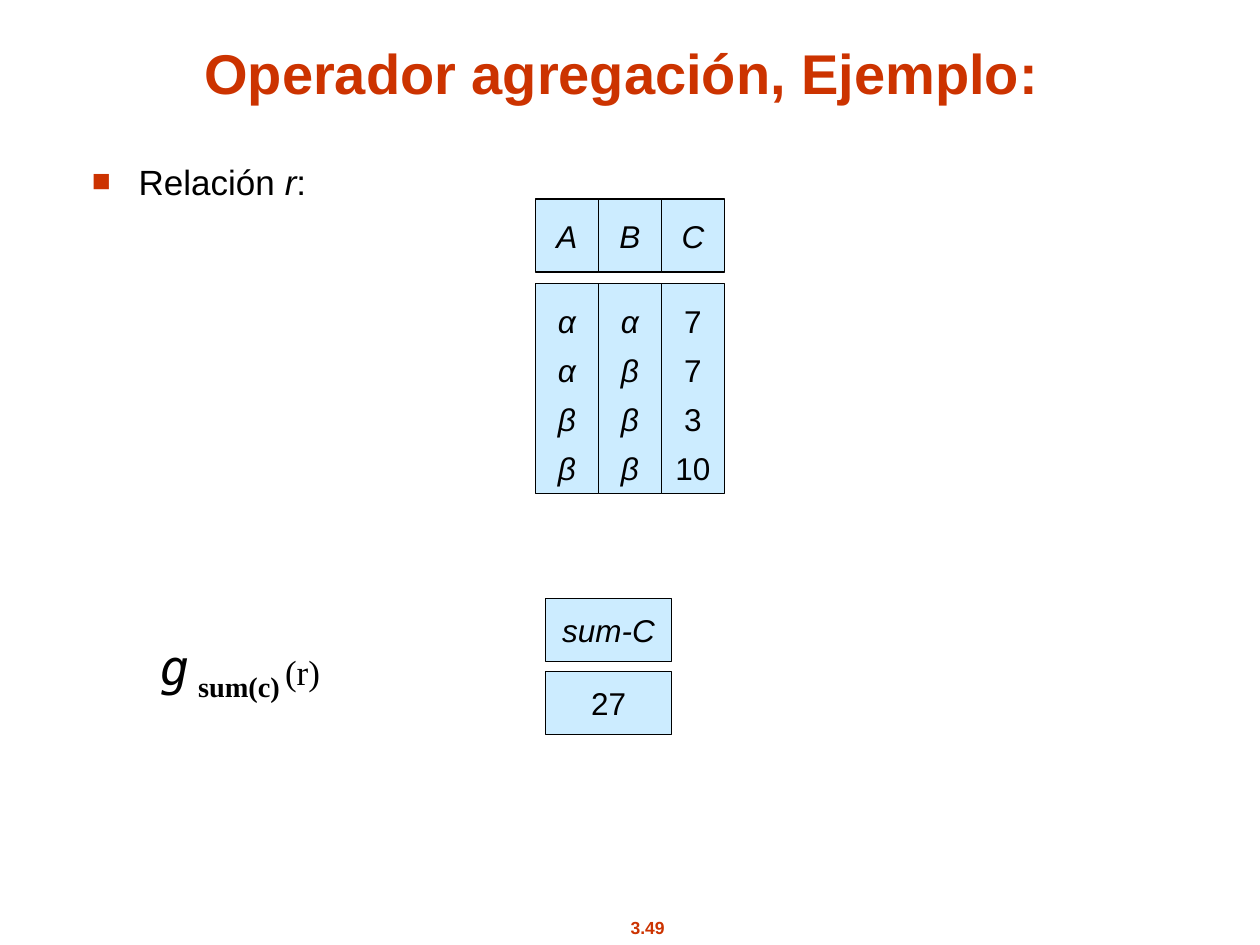
from lxml.etree import SubElement
from pptx import Presentation
from pptx.dml.color import RGBColor
from pptx.enum.shapes import MSO_SHAPE
from pptx.enum.text import MSO_ANCHOR, MSO_AUTO_SIZE, PP_ALIGN
from pptx.oxml.ns import qn
from pptx.util import Inches, Pt

COLORS = {"accent": "CC3300", "cell": "CCECFF", "text": "000000"}

TITLE = "Operador agregación, Ejemplo:"
PAGE = "3.49"
RELATION = [("Relación ", {}), ("r", {"italic": True}), (":", {})]
SERIF = {"font": "Times New Roman", "bold": True}
FORMULA = [
    ("g", {"font": "DejaVu Sans Mono", "size": 28, "italic": True}),
    (" ", SERIF),
    ("sum(c)", {**SERIF, "size": 28, "baseline": -25}),
    (" ", {**SERIF, "baseline": -25}),
    ("(r)", {"font": "Times New Roman"}),
]
# header, values, whether the values are italic
COLUMNS = [
    ("A", ["α", "α", "β", "β"], True),
    ("B", ["α", "β", "β", "β"], True),
    ("C", ["7", "7", "3", "10"], False),
]
RESULT = [("sum-C", True), ("27", False)]


def rgb(name):
    return RGBColor.from_string(COLORS[name])


def add_run(p, text, font="Arial", size=20, color="text", bold=False, italic=False, baseline=0):
    """Add a run; baseline is a percentage, negative for subscript."""
    r = p.add_run()
    r.text = text
    r.font.name, r.font.size = font, Pt(size)
    r.font.bold, r.font.italic = bold, italic
    r.font.color.rgb = rgb(color)
    if baseline:
        r.font._element.set("baseline", str(baseline * 1000))


def place(sp, left, top, width, height):
    sp.left, sp.top, sp.width, sp.height = map(Inches, (left, top, width, height))


def set_frame(sp, anchor=MSO_ANCHOR.TOP, wrap=True):
    tf = sp.text_frame
    tf.auto_size = MSO_AUTO_SIZE.NONE
    tf.word_wrap = wrap
    tf.vertical_anchor = anchor
    return tf


def add_bullet(p):
    pPr = p._p.get_or_add_pPr()
    pPr.set("marL", str(Inches(0.37)))
    pPr.set("indent", str(-Inches(0.37)))
    color = SubElement(pPr, qn("a:buClr"))
    SubElement(color, qn("a:srgbClr"), val=COLORS["accent"])
    SubElement(pPr, qn("a:buSzPct"), val="90000")
    SubElement(pPr, qn("a:buFont"), typeface="Arial")
    SubElement(pPr, qn("a:buChar"), char="■")


def add_cell(slide, lines, left, top, width, height, italic, spacing=1.0):
    sp = slide.shapes.add_shape(MSO_SHAPE.RECTANGLE, *map(Inches, (left, top, width, height)))
    sp.shadow.inherit = False
    sp.fill.solid()
    sp.fill.fore_color.rgb = rgb("cell")
    sp.line.color.rgb = rgb("text")
    sp.line.width = Pt(0.75)
    tf = set_frame(sp, MSO_ANCHOR.MIDDLE, wrap=False)
    for i, line in enumerate(lines):
        p = tf.add_paragraph() if i else tf.paragraphs[0]
        p.alignment = PP_ALIGN.CENTER
        p.line_spacing = spacing
        add_run(p, line, size=18, italic=italic)


def main():
    prs = Presentation()
    prs.slide_width, prs.slide_height = Inches(10), Inches(7.5)
    slide = prs.slides.add_slide(prs.slide_layouts[1])
    title, body = slide.placeholders

    place(title, 0.52, 0.22, 8.83, 0.67)
    p = set_frame(title, MSO_ANCHOR.BOTTOM).paragraphs[0]
    p.alignment = PP_ALIGN.CENTER
    add_run(p, TITLE, size=32, color="accent", bold=True)

    place(body, 0.63, 1.22, 1.98, 0.63)
    p = set_frame(body).paragraphs[0]
    add_bullet(p)
    p.space_before = Pt(0)
    for text, fmt in RELATION:
        add_run(p, text, **fmt)

    for i, (header, values, italic) in enumerate(COLUMNS):
        left = 4.25 + 0.5 * i
        add_cell(slide, [header], left, 1.58, 0.5, 0.58, True)
        add_cell(slide, values, left, 2.25, 0.5, 1.67, italic, spacing=1.3)

    sp = slide.shapes.add_textbox(*map(Inches, (1.17, 5, 1.77, 0.61)))
    p = set_frame(sp).paragraphs[0]
    for text, fmt in FORMULA:
        add_run(p, text, **fmt)

    for i, (text, italic) in enumerate(RESULT):
        add_cell(slide, [text], 4.33, 4.75 + 0.58 * i, 1, 0.5, italic)

    sp = slide.shapes.add_textbox(*map(Inches, (4.65, 7.23, 0.98, 0.27)))
    p = set_frame(sp, wrap=False).paragraphs[0]
    p.alignment = PP_ALIGN.CENTER
    add_run(p, PAGE, size=10, color="accent", bold=True)

    prs.save("out.pptx")


if __name__ == "__main__":
    main()
